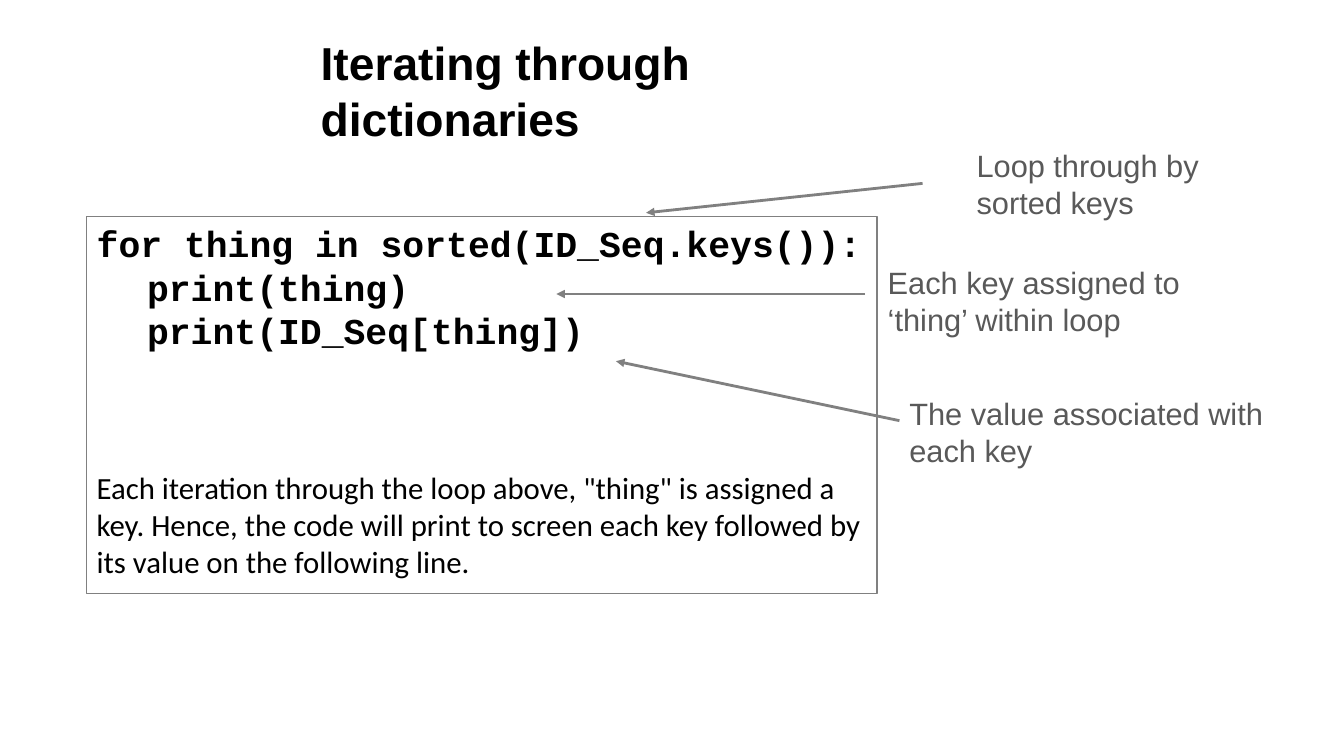
from pptx import Presentation
from pptx import util as u
from pptx.dml.color import RGBColor
from pptx.enum import shapes, text
from pptx.oxml.ns import qn
from lxml import etree

TITLE = ("Iterating through dictionaries", (222, 21, 443, 48))
CODE = [
    "for thing in sorted(ID_Seq.keys()):",
    "\tprint(thing)",
    "\tprint(ID_Seq[thing])",
]
EXPLANATION = (
    'Each iteration through the loop above, "thing" is assigned a key. Hence, the code '
    "will print to screen each key followed by its value on the following line."
)
PANEL = (62, 154.5, 564.5, 269.5)
# note, its box (left, top, width, height), arrow start, arrow tip
NOTES = [
    ("Loop through by sorted keys", (690.5, 101, 181, 60.5), (659, 131), (461.5, 152)),
    ("Each key assigned to ‘thing’ within loop", (627, 185, 243, 60.5), (618, 210), (397.5, 210)),
    ("The value associated with each key", (642.5, 278.5, 293, 60.5), (642.5, 300.5), (440, 258)),
]
EXPLANATION_GAP = 83

THEME = {
    "ink": RGBColor.from_string("000000"),
    "note": RGBColor.from_string("595959"),
    "line": RGBColor.from_string("808080"),
    "title_type": ("Arial", 33, True),
    "code_type": ("Courier New", 26, True),
    "explanation_type": ("Calibri", 22, False),
    "note_type": ("Arial", 22, False),
}


def points(values):
    return [u.Pt(value) for value in values]


def style(paragraph, kind, color):
    paragraph.alignment = text.PP_ALIGN.LEFT
    for run in paragraph.runs:
        font = run.font
        font.name, size, font.bold = THEME[kind]
        font.size = u.Pt(size)
        font.color.rgb = THEME[color]


def add_label(slide, words, box, kind, color):
    frame = slide.shapes.add_textbox(*points(box)).text_frame
    frame.word_wrap = True
    frame.text = words
    style(frame.paragraphs[0], kind, color)


def add_code_panel(slide):
    panel = slide.shapes.add_shape(shapes.MSO_SHAPE.RECTANGLE, *points(PANEL))
    panel.shadow.inherit = False
    panel.fill.background()
    panel.line.color.rgb = THEME["line"]
    panel.line.width = u.Pt(0.75)
    frame = panel.text_frame
    frame.word_wrap = True
    frame.vertical_anchor = text.MSO_ANCHOR.TOP
    frame.text = "\n".join(CODE + [EXPLANATION])
    *code_lines, explanation = frame.paragraphs
    for code_line in code_lines:
        style(code_line, "code_type", "ink")
    style(explanation, "explanation_type", "ink")
    explanation.space_before = u.Pt(EXPLANATION_GAP)


def add_arrow(slide, start, tip):
    arrow = slide.shapes.add_connector(
        shapes.MSO_CONNECTOR.STRAIGHT, *points(start + tip))
    arrow.line.color.rgb = THEME["line"]
    arrow.line.width = u.Pt(2)
    etree.SubElement(arrow.line._get_or_add_ln(), qn("a:tailEnd"), type="triangle")
    etree.SubElement(arrow._element.spPr, qn("a:effectLst"))


def main():
    deck = Presentation()
    deck.slide_width, deck.slide_height = points((960, 540))
    slide = deck.slides.add_slide(deck.slide_layouts[6])
    add_label(slide, *TITLE, "title_type", "ink")
    add_code_panel(slide)
    for note, box, start, tip in NOTES:
        add_label(slide, note, box, "note_type", "note")
        add_arrow(slide, start, tip)
    deck.save("out.pptx")


if __name__ == "__main__":
    main()
